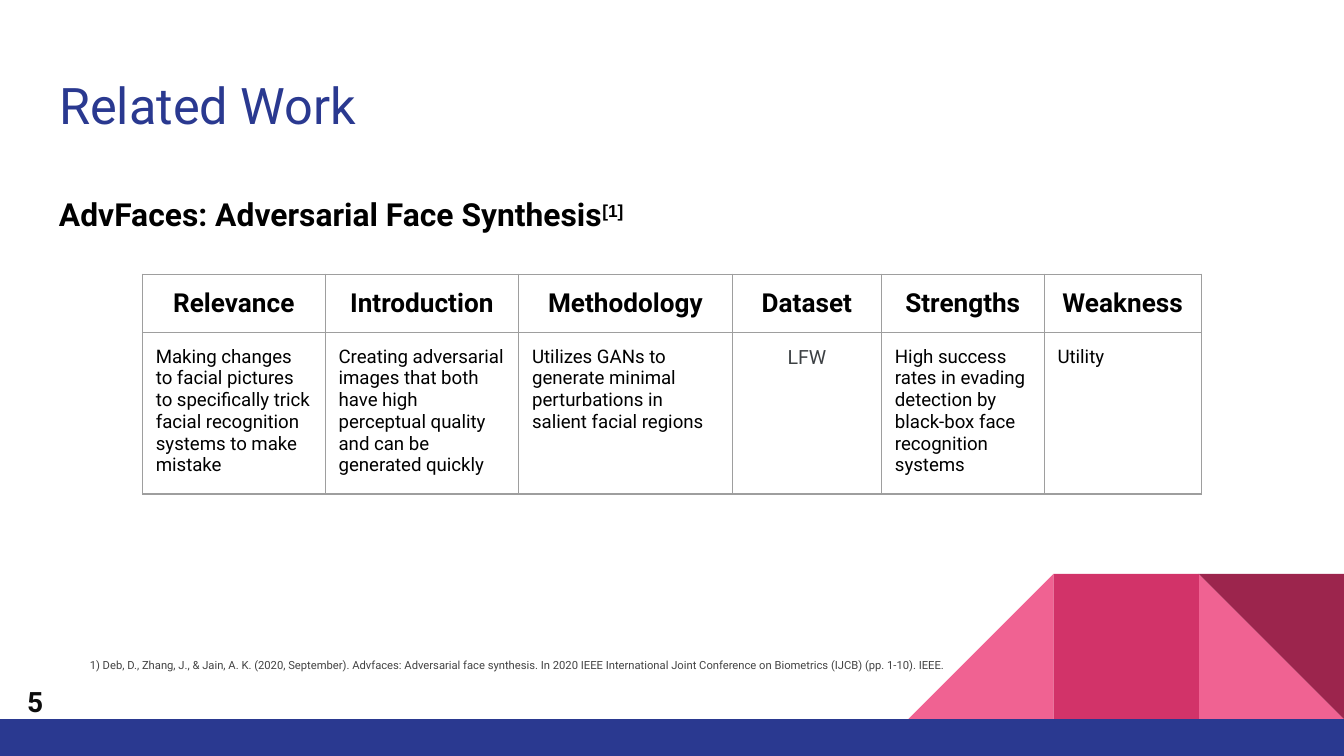
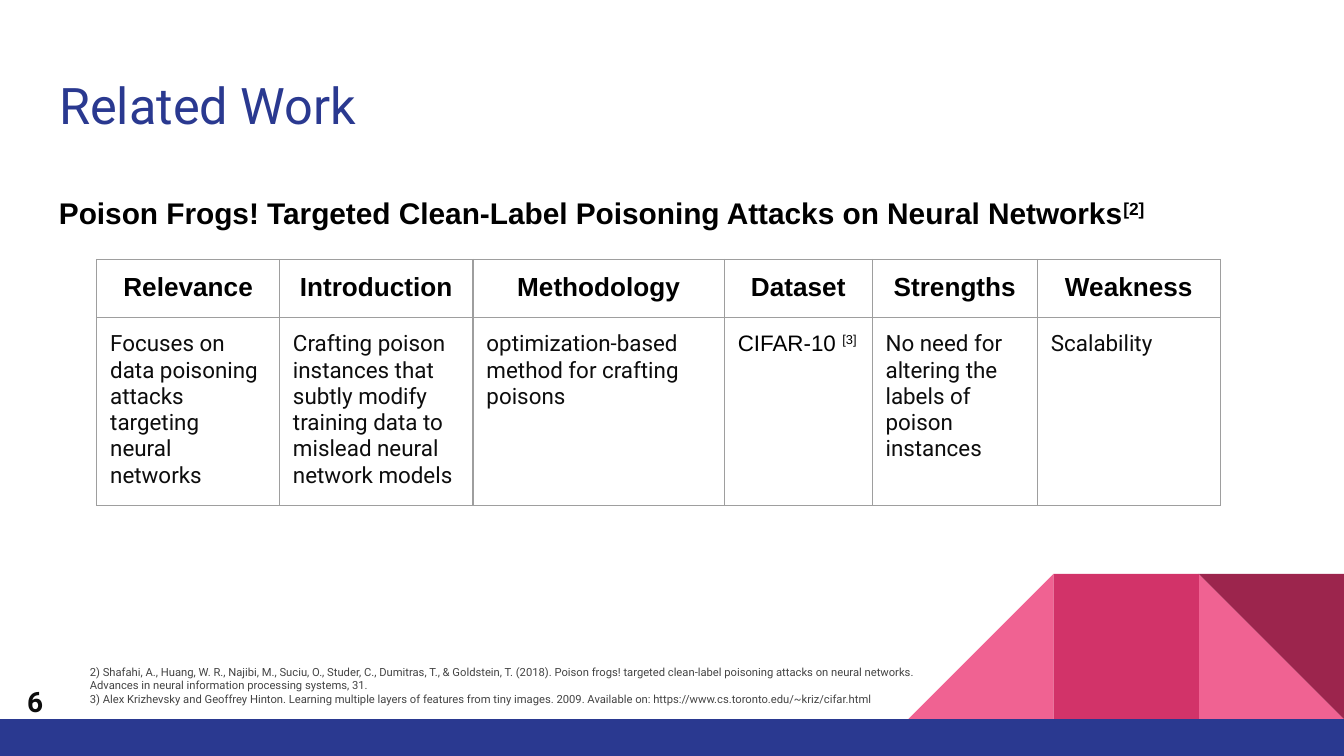
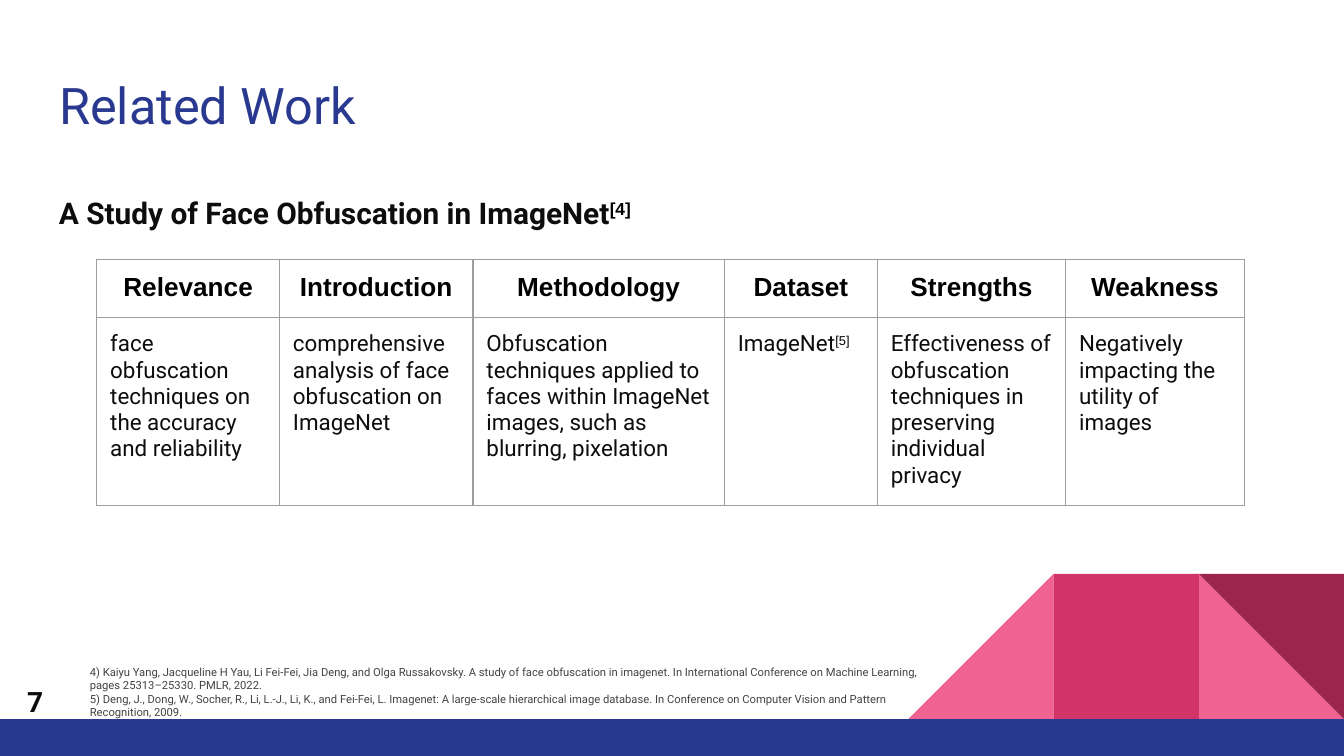
from copy import deepcopy

from lxml import etree
from pptx import Presentation
from pptx import util as u
from pptx.dml.color import RGBColor
from pptx.enum import shapes, text
from pptx.oxml import ns

BLUE, PINK, ROSE, WINE = "2A3990", "F06292", "D23369", "9C254D"
BLACK, INK, GREY, RULE = "000000", "0D0D0D", "434343", "9E9E9E"
SANS, ARIAL = "Roboto", "Arial"
LEFT, MID, RIGHT = text.PP_ALIGN.LEFT, text.PP_ALIGN.CENTER, text.PP_ALIGN.RIGHT
TOP, CENTER = text.MSO_ANCHOR.TOP, text.MSO_ANCHOR.MIDDLE
UNIT, BASE, ROW = 1.08, 5.35, 0.42
HEADS = ["Relevance", "Introduction", "Methodology", "Dataset", "Strengths", "Weakness"]


def color(code):
    return RGBColor.from_string(code)


def style(size, name=SANS, code=BLACK, bold=False, high=False):
    return {"size": u.Pt(size), "name": name, "color": code, "bold": bold, "high": high}


def box(*nums):
    return [u.Inches(n) for n in nums]


def write(para, words, form):
    run = para.add_run()
    run.text = words
    for key in ("size", "name", "bold"):
        setattr(run.font, key, form[key])
    run.font.color.rgb = color(form["color"])
    if form["high"]:
        run._r.get_or_add_rPr().set("baseline", "30000")
    return run


def put(frame, runs, align=LEFT, anchor=TOP):
    pad = u.Inches(0.1)
    form = {"word_wrap": True, "vertical_anchor": anchor, "margin_left": pad,
            "margin_right": pad, "margin_top": pad, "margin_bottom": pad}
    for key, val in form.items():
        setattr(frame, key, val)
    para = frame.paragraphs[0]
    para.alignment = align
    for words, form in runs:
        for i, line in enumerate(words.split("\n")):
            if i:
                para.add_line_break()
                para._p[-1].append(deepcopy(run._r.rPr))
            run = write(para, line, form)


def label(slide, at, runs, align=LEFT, anchor=TOP):
    put(slide.shapes.add_textbox(*box(*at)).text_frame, runs, align, anchor)


def block(group, kind, at, code, flip=False, turn=0):
    item = group.shapes.add_shape(kind, *box(*at))
    item.shadow.inherit = False
    item.fill.solid()
    item.fill.fore_color.rgb = color(code)
    item.line.fill.background()
    item.rotation = turn
    if flip:
        item._element.spPr.xfrm.set("flipH", "1")


def decor(slide):
    group = slide.shapes.add_group_shape()
    tri, rect = shapes.MSO_SHAPE.RIGHT_TRIANGLE, shapes.MSO_SHAPE.RECTANGLE
    spots = [[10 - n * UNIT, BASE - UNIT, UNIT, UNIT] for n in (1, 2, 3)]
    block(group, tri, spots[0], PINK)
    block(group, tri, spots[2], PINK, flip=True)
    block(group, rect, spots[1], ROSE)
    block(group, tri, spots[0], WINE, turn=180)
    block(group, rect, [0, BASE, 10, 0.28], BLUE)


def title(slide, words):
    item = slide.shapes.title
    for key, val in zip(("left", "top", "width", "height"), box(0.34, 0.45, 9.32, 0.66)):
        setattr(item, key, val)
    item.text_frame.auto_size = text.MSO_AUTO_SIZE.NONE
    put(item.text_frame, [(words, style(27, code=BLUE))])


def border(cell):
    props = cell._tc.get_or_add_tcPr()
    for side in ("lnL", "lnR", "lnT", "lnB"):
        line = etree.SubElement(props, ns.qn("a:" + side), w=str(u.Pt(0.75)))
        fill = etree.SubElement(line, ns.qn("a:solidFill"))
        etree.SubElement(fill, ns.qn("a:srgbClr"), val=RULE)
    cell.fill.background()


def table(slide, at, cols, head, body):
    grid = slide.shapes.add_table(2, len(cols), *box(*at, sum(cols), 2 * ROW)).table
    grid.first_row = grid.horz_banding = False
    for col, width in zip(grid.columns, cols):
        col.width = u.Inches(width)
    for row in grid.rows:
        row.height = u.Inches(ROW)
    for i, (name, (runs, align)) in enumerate(zip(HEADS, body)):
        for row, part, side in ((0, [(name, head)], MID), (1, runs, align)):
            cell = grid.cell(row, i)
            border(cell)
            put(cell.text_frame, part, side)
            for key in ("left", "right", "top", "bottom"):
                setattr(cell, "margin_" + key, u.Inches(0.1))


def plain(form, *items):
    return [([(item, form)], LEFT) if isinstance(item, str) else item for item in items]


def page(deck, num, paper, grid, refs, width, height):
    slide = deck.slides.add_slide(deck.slide_layouts[5])
    decor(slide)
    title(slide, "Related Work")
    label(slide, [0.34, 1.35, 9.32, 3.65], paper)
    table(slide, *grid)
    label(slide, [-0.18, 5, 0.6, 0.43], [(str(num), style(15, code=INK, bold=True))],
          RIGHT, CENTER)
    label(slide, [0.57, 4.85, width, height], [(refs, style(6, code=GREY))])


def main():
    deck = Presentation()
    deck.slide_width = u.Inches(10)
    deck.slide_height = deck.slide_width * 9 // 16
    mark = style(16, ARIAL, bold=True, high=True)
    note = style(12, ARIAL, high=True)
    head = style(14, ARIAL, bold=True)
    dark = style(12, code=INK)

    page(deck, 5,
         [("AdvFaces: Adversarial Face Synthesis", style(17, bold=True)), ("[1]", mark)],
         ([1.06, 2.04], [1.36, 1.44, 1.59, 1.11, 1.21, 1.17], style(14, bold=True), plain(
             style(10),
             "Making changes to facial pictures to specifically trick facial recognition "
             "systems to make mistake",
             "Creating adversarial images that both have high perceptual quality and can be "
             "generated quickly",
             "Utilizes GANs to generate minimal perturbations in salient facial regions",
             ([("LFW", style(10.5, code="3C4043"))], MID),
             "High success rates in evading detection by black-box face recognition systems",
             "Utility")),
         "1) Deb, D., Zhang, J., & Jain, A. K. (2020, September). Advfaces: Adversarial face "
         "synthesis. In 2020 IEEE International Joint Conference on Biometrics (IJCB) "
         "(pp. 1-10). IEEE.", 6.8, 0.3)

    page(deck, 6,
         [("Poison Frogs! Targeted Clean-Label Poisoning Attacks on Neural Networks",
           style(16, ARIAL, bold=True)), ("[2]", mark)],
         ([0.72, 1.93], [1.36, 1.44, 1.87, 1.1, 1.23, 1.36], head, plain(
             dark,
             "Focuses on data poisoning attacks targeting neural networks",
             "Crafting poison instances that subtly modify training data to mislead neural "
             "network models",
             "optimization-based method for crafting poisons",
             ([("CIFAR-10 ", style(12, ARIAL)), ("[3]", note)], LEFT),
             "No need for altering the labels of poison instances",
             "Scalability")),
         "2) Shafahi, A., Huang, W. R., Najibi, M., Suciu, O., Studer, C., Dumitras, T., & "
         "Goldstein, T. (2018). Poison frogs! targeted clean-label poisoning attacks on "
         "neural networks. Advances in neural information processing systems, 31.\n"
         "3) Alex Krizhevsky and Geoffrey Hinton. Learning multiple layers of features from "
         "tiny images. 2009. Available on: https://www.cs.toronto.edu/~kriz/cifar.html",
         6.45, 0.5)

    page(deck, 7,
         [("A Study of Face Obfuscation in ImageNet", style(16, code=INK, bold=True)),
          ("[4]", mark)],
         ([0.72, 1.93], [1.36, 1.44, 1.87, 1.14, 1.4, 1.33], head, plain(
             dark,
             "face obfuscation techniques on the accuracy and reliability",
             "comprehensive analysis of face obfuscation on ImageNet",
             "Obfuscation techniques applied to faces within ImageNet images, such as "
             "blurring, pixelation",
             ([("ImageNet", dark), ("[5]", note)], LEFT),
             "Effectiveness of obfuscation techniques in preserving individual privacy",
             "Negatively impacting the utility of images")),
         "4) Kaiyu Yang, Jacqueline H Yau, Li Fei-Fei, Jia Deng, and Olga Russakovsky. A study "
         "of face obfuscation in imagenet. In International Conference on Machine Learning, "
         "pages 25313–25330. PMLR, 2022. \n"
         "5) Deng, J., Dong, W., Socher, R., Li, L.-J., Li, K., and Fei-Fei, L. Imagenet: A "
         "large-scale hierarchical image database. In Conference on Computer Vision and "
         "Pattern Recognition, 2009.", 6.45, 0.61)

    deck.save("out.pptx")


if __name__ == "__main__":
    main()
